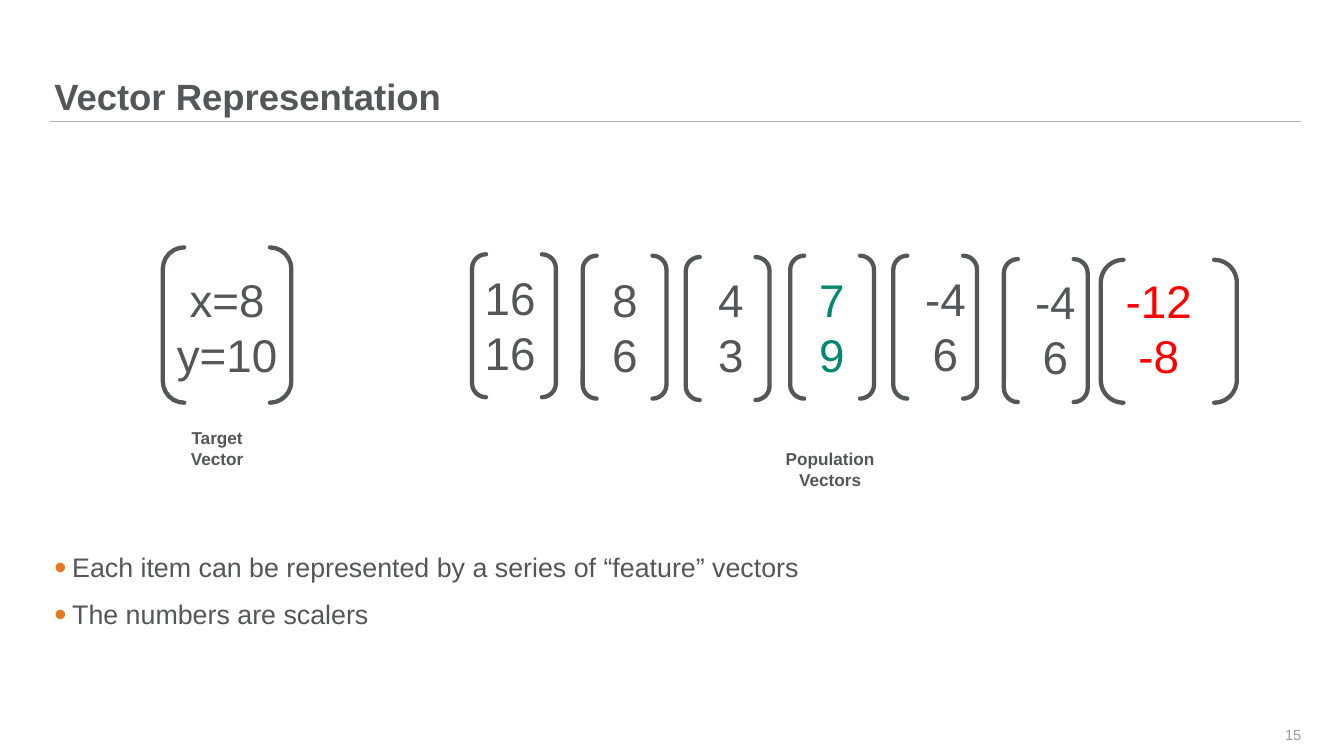
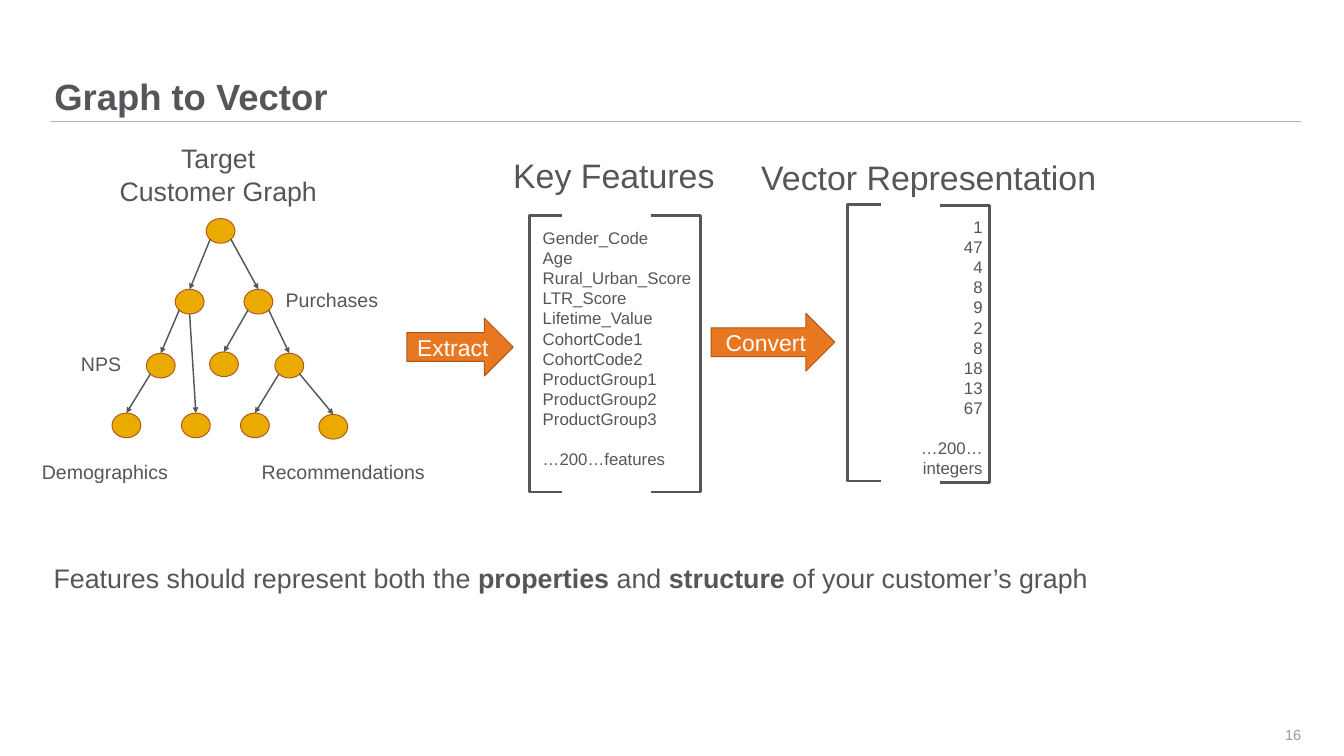
from dataclasses import dataclass
from typing import Any

import pptx
import pptx.dml.color
import pptx.enum.shapes
import pptx.enum.text
import pptx.oxml.ns
import pptx.oxml.xmlchemy
import pptx.slide
import pptx.util

EMU_PER_PX = 9144
INK = "55565A"
RULE = "B1B3B3"
PAGE_GREY = "999A9B"
ORANGE = "E87722"
BROWN = "AC5819"
GOLD = "EAAA00"
GREEN = "008770"
RED = "FF0000"
WHITE = "FFFFFF"

Shapes = pptx.enum.shapes.MSO_SHAPE
Align = pptx.enum.text.PP_ALIGN
Anchor = pptx.enum.text.MSO_ANCHOR
Fit = pptx.enum.text.MSO_AUTO_SIZE
Box = tuple[int, int, int, int]

NO_INSETS = {f"margin_{side}": 0 for side in ("left", "top", "right", "bottom")}
GROWING = {"word_wrap": True, "auto_size": Fit.SHAPE_TO_FIT_TEXT}
UNWRAPPED = GROWING | {"word_wrap": False}
FIXED = NO_INSETS | {"word_wrap": True, "auto_size": Fit.NONE}
BODY_SPACING = {"line_spacing": 0.95, "space_after": pptx.util.Pt(7.7)}


@dataclass(frozen=True)
class Style:
    size: float
    colour: str = INK
    bold: bool = False
    align: Any = Align.LEFT


TITLE = Style(38.2, bold=True)
BODY = Style(28.1)
PAGE_NUMBER = Style(15.3, PAGE_GREY, align=Align.RIGHT)
CAPTION = Style(18, bold=True, align=Align.CENTER)
TREE_HEADING = Style(28, align=Align.CENTER)
COLUMN_HEADING = Style(35.5)
TREE_LABEL = Style(20.5)
STEP = Style(24, WHITE, align=Align.CENTER)


@dataclass(frozen=True)
class Vector:
    bracket: Box
    numbers: Box
    values: tuple[str, str]
    colour: str = INK


@dataclass(frozen=True)
class Label:
    box: Box
    text: str
    style: Style
    frame: dict[str, Any]


@dataclass(frozen=True)
class Column:
    brackets: tuple[Box, Box]
    box: Box
    entries: tuple[str, ...]
    remainder: str
    align: Any


VECTORS = (
    Vector((237, 360, 187, 226), (237, 390, 187, 172), ("x=8", "y=10")),
    Vector((687, 370, 122, 208), (649, 388, 187, 172), ("16", "16")),
    Vector((848, 372, 122, 208), (816, 390, 187, 172), ("8", "6")),
    Vector((998, 374, 122, 208), (1031, 390, 65, 172), ("4", "3")),
    Vector((1150, 372, 122, 208), (1178, 390, 65, 172), ("7", "9"), GREEN),
    Vector((1300, 372, 122, 208), (1329, 389, 94, 172), ("-4", "6")),
    Vector((1461, 377, 122, 208), (1489, 394, 94, 172), ("-4", "6")),
    Vector((1602, 378, 198, 208), (1611, 392, 151, 172), ("-12", "-8"), RED),
)
VECTOR_CAPTIONS = (
    Label((237, 617, 158, 71), "Target Vector", CAPTION, GROWING),
    Label((1087, 648, 242, 71), "Population Vectors", CAPTION, GROWING),
)
GRAPH_LABELS = (
    Label((162, 202, 311, 104), "Target\nCustomer Graph", TREE_HEADING, UNWRAPPED),
    Label((406, 414, 156, 45), "Purchases", TREE_LABEL, UNWRAPPED),
    Label((51, 664, 205, 45), "Demographics", TREE_LABEL, UNWRAPPED),
    Label((108, 507, 80, 45), "NPS", TREE_LABEL, UNWRAPPED),
    Label((371, 664, 260, 45), "Recommendations", TREE_LABEL, UNWRAPPED),
    Label((737, 220, 316, 70), "Key Features", COLUMN_HEADING, UNWRAPPED),
    Label((1098, 223, 513, 70), "Vector Representation", COLUMN_HEADING, UNWRAPPED),
)
NODE_WIDTH, NODE_HEIGHT = 42, 36
NODES = {
    "customer": (300, 318),
    "scores": (255, 421),
    "purchases": (355, 421),
    "nps": (213, 514),
    "order": (305, 512),
    "basket": (400, 514),
    "demographic 1": (163, 601),
    "demographic 2": (264, 601),
    "recommendation 1": (350, 601),
    "recommendation 2": (464, 603),
}
CHILDREN = {
    "customer": ("scores", "purchases"),
    "scores": ("nps", "demographic 2"),
    "purchases": ("order", "basket"),
    "nps": ("demographic 1",),
    "basket": ("recommendation 1", "recommendation 2"),
}
COLUMNS = (
    Column(
        ((770, 313, 48, 403), (947, 313, 72, 403)),
        (780, 326, 238, 395),
        ("Gender_Code", "Age", "Rural_Urban_Score", "LTR_Score", "Lifetime_Value",
         "CohortCode1", "CohortCode2", "ProductGroup1", "ProductGroup2", "ProductGroup3"),
        "…200…features",
        Align.LEFT,
    ),
    Column(
        ((1234, 297, 48, 403), (1368, 299, 72, 403)),
        (1244, 310, 196, 395),
        ("1", "47", "4", "8", "9", "2", "8", "18", "13", "67"),
        "…200…integers",
        Align.RIGHT,
    ),
)
STEPS = {"Extract": (592, 463, 155, 84), "Convert": (1035, 456, 180, 84)}


def px(length: int) -> pptx.util.Emu:
    return pptx.util.Emu(length * EMU_PER_PX)


def colour(value: str) -> pptx.dml.color.RGBColor:
    return pptx.dml.color.RGBColor.from_string(value)


def apply(target: Any, values: dict[str, Any]) -> None:
    for name, value in values.items():
        setattr(target, name, value)


def add_child(parent: Any, tag: str, **attributes: str) -> Any:
    child = parent.makeelement(pptx.oxml.ns.qn(tag), attributes)
    parent.append(child)
    return child


def write(frame: Any, paragraphs: tuple[str, ...], style: Style, settings: dict[str, Any]) -> None:
    apply(frame, settings)
    for index, text in enumerate(paragraphs):
        paragraph = frame.paragraphs[0] if index == 0 else frame.add_paragraph()
        paragraph.alignment = style.align
        for part_index, part in enumerate(text.split("**")):
            for line_index, line in enumerate(part.split("\n")):
                if line_index:
                    paragraph.add_line_break()
                run = paragraph.add_run()
                run.text = line
                apply(run.font, {
                    "name": "Arial",
                    "size": pptx.util.Pt(style.size),
                    "bold": style.bold or part_index % 2 == 1,
                })
                run.font.color.rgb = colour(style.colour)


def add_text(slide: pptx.slide.Slide, box: Box, paragraphs: tuple[str, ...],
             style: Style, settings: dict[str, Any]) -> Any:
    frame = slide.shapes.add_textbox(*map(px, box)).text_frame
    write(frame, paragraphs, style, settings)
    return frame


def add_labels(slide: pptx.slide.Slide, labels: tuple[Label, ...]) -> None:
    for label in labels:
        add_text(slide, label.box, (label.text,), label.style, label.frame)


def add_preset(slide: pptx.slide.Slide, preset: Any, box: Box, line: str,
               weight: float, fill: str = "") -> Any:
    shape = slide.shapes.add_shape(preset, *map(px, box))
    shape.shadow.inherit = False
    if fill:
        shape.fill.solid()
        shape.fill.fore_color.rgb = colour(fill)
    else:
        shape.fill.background()
    shape.line.color.rgb = colour(line)
    shape.line.width = pptx.util.Pt(weight)
    return shape


def add_line(slide: pptx.slide.Slide, start: tuple[int, int], end: tuple[int, int],
             line: str, weight: float, arrow: bool = False) -> None:
    connector = slide.shapes.add_connector(
        pptx.enum.shapes.MSO_CONNECTOR.STRAIGHT, *map(px, start + end))
    connector.line.color.rgb = colour(line)
    connector.line.width = pptx.util.Pt(weight)
    properties = connector._element.spPr
    if arrow:
        add_child(properties.find(pptx.oxml.ns.qn("a:ln")), "a:tailEnd", type="triangle")
    add_child(properties, "a:effectLst")


def set_bullet(paragraph: Any, bulleted: bool) -> None:
    properties = paragraph._p.get_or_add_pPr()
    indent = px(26) if bulleted else 0
    properties.set("marL", str(indent))
    properties.set("indent", str(-indent))
    if not bulleted:
        add_child(properties, "a:buNone")
        return
    add_child(add_child(properties, "a:buClr"), "a:srgbClr", val=ORANGE)
    add_child(properties, "a:buSzPct", val="130000")
    add_child(properties, "a:buFont", typeface="Arial")
    add_child(properties, "a:buChar", char="•")


def place(placeholder: Any, box: Box) -> None:
    apply(placeholder, dict(zip(("left", "top", "width", "height"), map(px, box))))


def add_base_slide(deck: Any, title: str, page: int, body_box: Box,
                   body: tuple[str, ...], bulleted: bool) -> pptx.slide.Slide:
    slide = deck.slides.add_slide(deck.slide_layouts[1])
    add_line(slide, (73, 177), (1894, 177), RULE, 1)
    heading, content = slide.shapes.title, slide.placeholders[1]
    place(heading, (79, 0, 1815, 172))
    write(heading.text_frame, (title,), TITLE, FIXED | {"vertical_anchor": Anchor.BOTTOM})
    heading.text_frame.paragraphs[0].line_spacing = 0.9
    place(content, body_box)
    write(content.text_frame, body, BODY, FIXED | {"vertical_anchor": Anchor.TOP})
    for index, paragraph in enumerate(content.text_frame.paragraphs):
        set_bullet(paragraph, bulleted)
        apply(paragraph, BODY_SPACING | {"space_before": pptx.util.Pt(10.2 if index else 0)})
    add_text(slide, (1807, 1040, 87, 59), (str(page),), PAGE_NUMBER,
             FIXED | {"vertical_anchor": Anchor.MIDDLE})
    return slide


def add_vector(slide: pptx.slide.Slide, vector: Vector) -> None:
    bracket = add_preset(slide, Shapes.DOUBLE_BRACKET, vector.bracket, INK, 4.5)
    bracket._element.spPr.find(pptx.oxml.ns.qn("a:ln")).set("cap", "rnd")
    add_text(slide, vector.numbers, vector.values,
             Style(48, vector.colour, align=Align.CENTER), GROWING)


def add_tree(slide: pptx.slide.Slide) -> None:
    for left, top in NODES.values():
        add_preset(slide, Shapes.OVAL, (left, top, NODE_WIDTH, NODE_HEIGHT), BROWN, 1, GOLD)
    middle = NODE_WIDTH // 2
    for parent, children in CHILDREN.items():
        left, top = NODES[parent]
        for child in children:
            child_left, child_top = NODES[child]
            shift = child_left - left
            side = 0 if abs(shift) < middle else (1 if shift > 0 else -1)
            start = (left + middle + 15 * side, top + (30 if side else NODE_HEIGHT))
            add_line(slide, start, (child_left + middle, child_top), INK, 1.5, arrow=True)


def add_column(slide: pptx.slide.Slide, column: Column) -> None:
    for preset, box in zip((Shapes.LEFT_BRACKET, Shapes.RIGHT_BRACKET), column.brackets):
        add_preset(slide, preset, box, INK, 3).adjustments[0] = 0
    frame = add_text(slide, column.box, column.entries + (column.remainder,),
                     Style(17.6, align=column.align), GROWING)
    frame.paragraphs[-1].space_before = pptx.util.Pt(20.2)


def main() -> None:
    deck = pptx.Presentation()
    apply(deck, {"slide_width": px(1956), "slide_height": px(1100)})

    vectors = add_base_slide(
        deck, "Vector Representation", 15, (79, 804, 1815, 189),
        ("Each item can be represented by a series of “feature” vectors",
         "The numbers are scalers"), True)
    for vector in VECTORS:
        add_vector(vectors, vector)
    add_labels(vectors, VECTOR_CAPTIONS)

    graph = add_base_slide(
        deck, "Graph to Vector", 16, (78, 821, 1815, 131),
        ("Features should represent both the **properties** and **structure**"
         " of your customer’s graph",), False)
    add_tree(graph)
    add_labels(graph, GRAPH_LABELS)
    for column in COLUMNS:
        add_column(graph, column)
    for step, box in STEPS.items():
        arrow = add_preset(graph, Shapes.RIGHT_ARROW, box, BROWN, 1, ORANGE)
        write(arrow.text_frame, (step,), STEP,
              {"word_wrap": True, "vertical_anchor": Anchor.MIDDLE})

    deck.save("out.pptx")


if __name__ == "__main__":
    main()
